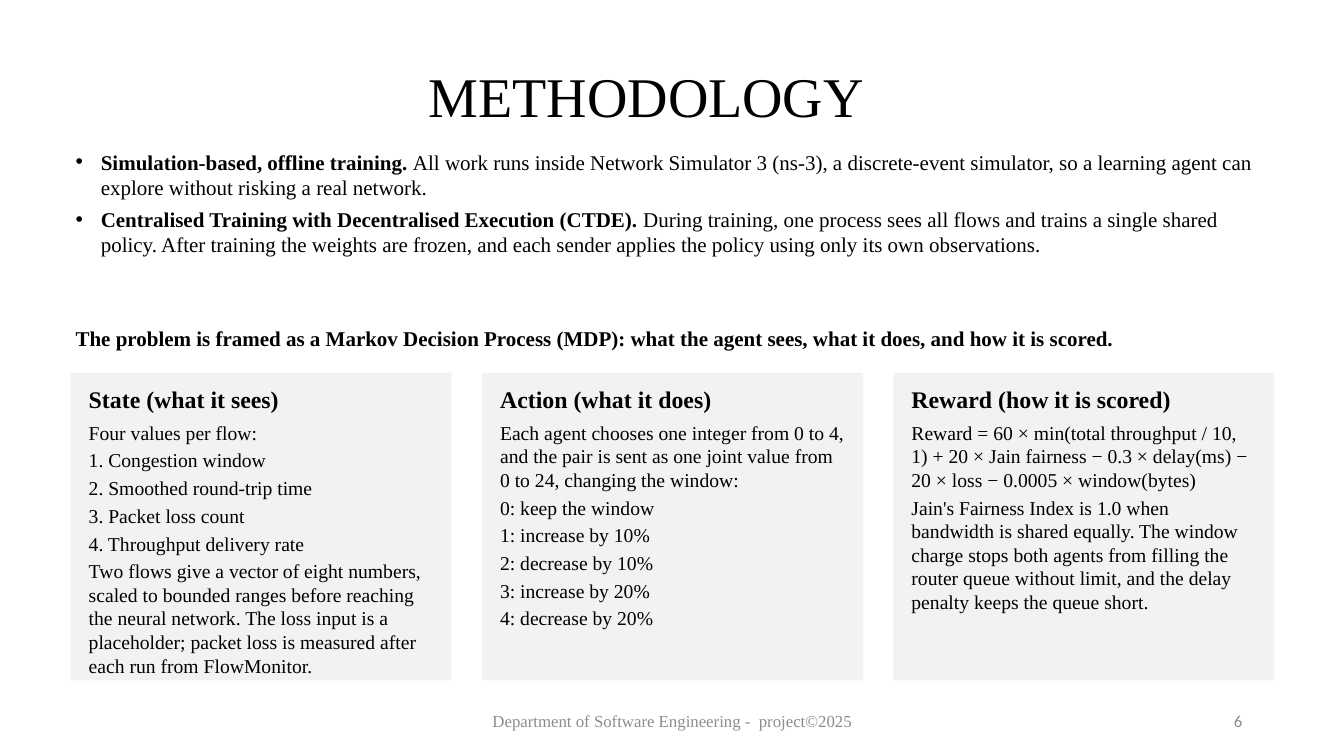
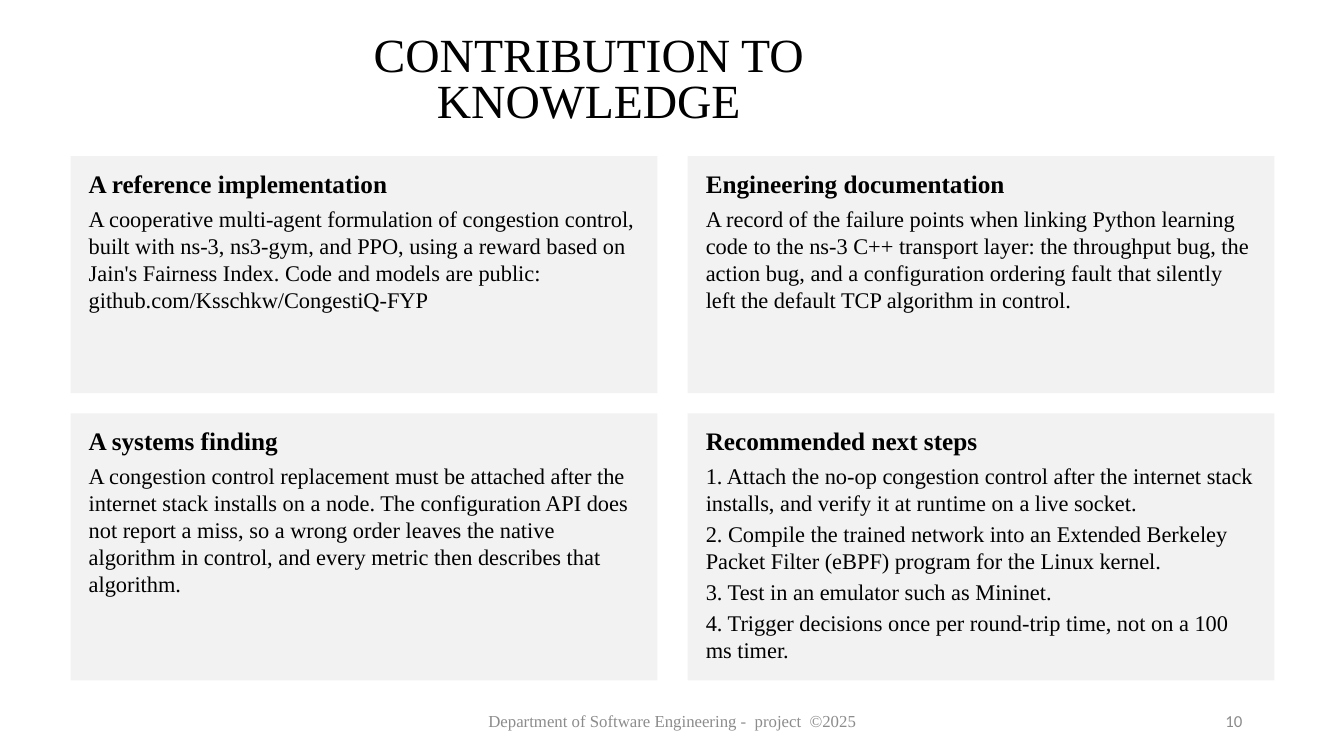
from lxml.etree import SubElement
from pptx import Presentation
from pptx.dml.color import RGBColor
from pptx.enum.shapes import MSO_SHAPE as Preset
from pptx.enum.text import MSO_ANCHOR as Anchor, PP_ALIGN as Align
from pptx.oxml.ns import qn
from pptx.util import Emu, Pt

PX = 9144  # 100 px to the inch
SLIDE_WIDTH, SLIDE_HEIGHT = 1333, 750
LEFT, CONTENT_WIDTH = 70, 1194
GAP = 30
SERIF, SANS = "Times New Roman", "Calibri"
COLORS = {"ink": "000000", "footer": "8C8C8C", "card": "F2F2F2"}

FRAME_INSETS = (10, 5, 10, 5)
BODY_INSETS = (5, 3, 5, 3)
CARD_INSETS = (18, 12, 18, 10)
FOOTER_BOX = (442, 695, 450, 40)
NUMBER_BOX = (942, 695, 300, 40)

METHOD_POINTS = [
    ("Simulation-based, offline training. ",
     "All work runs inside Network Simulator 3 (ns-3), a discrete-event simulator, "
     "so a learning agent can explore without risking a real network."),
    ("Centralised Training with Decentralised Execution (CTDE). ",
     "During training, one process sees all flows and trains a single shared policy. "
     "After training the weights are frozen, and each sender applies the policy using "
     "only its own observations."),
]
MDP_LEAD = ("The problem is framed as a Markov Decision Process (MDP): what the agent sees, "
            "what it does, and how it is scored.")
MDP_CARDS = [
    ("State (what it sees)", [
        "Four values per flow:",
        "1. Congestion window",
        "2. Smoothed round-trip time",
        "3. Packet loss count",
        "4. Throughput delivery rate",
        "Two flows give a vector of eight numbers, scaled to bounded ranges before reaching "
        "the neural network. The loss input is a placeholder; packet loss is measured after "
        "each run from FlowMonitor."]),
    ("Action (what it does)", [
        "Each agent chooses one integer from 0 to 4, and the pair is sent as one joint value "
        "from 0 to 24, changing the window:",
        "0: keep the window",
        "1: increase by 10%",
        "2: decrease by 10%",
        "3: increase by 20%",
        "4: decrease by 20%"]),
    ("Reward (how it is scored)", [
        "Reward = 60 × min(total throughput / 10, 1) + 20 × Jain fairness − 0.3 × delay(ms) "
        "− 20 × loss − 0.0005 × window(bytes)",
        "Jain's Fairness Index is 1.0 when bandwidth is shared equally. The window charge "
        "stops both agents from filling the router queue without limit, and the delay "
        "penalty keeps the queue short."]),
]
OUTCOME_CARDS = [
    ("A reference implementation", [
        "A cooperative multi-agent formulation of congestion control, built with ns-3, "
        "ns3-gym, and PPO, using a reward based on Jain's Fairness Index. Code and models "
        "are public: github.com/Ksschkw/CongestiQ-FYP"]),
    ("Engineering documentation", [
        "A record of the failure points when linking Python learning code to the ns-3 C++ "
        "transport layer: the throughput bug, the action bug, and a configuration ordering "
        "fault that silently left the default TCP algorithm in control."]),
]
FINDING_CARDS = [
    ("A systems finding", [
        "A congestion control replacement must be attached after the internet stack installs "
        "on a node. The configuration API does not report a miss, so a wrong order leaves "
        "the native algorithm in control, and every metric then describes that algorithm."]),
    ("Recommended next steps", [
        "1. Attach the no-op congestion control after the internet stack installs, and "
        "verify it at runtime on a live socket.",
        "2. Compile the trained network into an Extended Berkeley Packet Filter (eBPF) "
        "program for the Linux kernel.",
        "3. Test in an emulator such as Mininet.",
        "4. Trigger decisions once per round-trip time, not on a 100 ms timer."]),
]


def emu(box):
    return [Emu(length * PX) for length in box]


def assign(target, values):
    for name, value in values.items():
        setattr(target, name, value)


def set_frame(frame, insets, anchor=Anchor.TOP):
    sides = ("margin_left", "margin_top", "margin_right", "margin_bottom")
    assign(frame, {"word_wrap": True, "vertical_anchor": anchor,
                   **dict(zip(sides, emu(insets)))})


def add_frame(slide, box, insets=FRAME_INSETS, anchor=Anchor.TOP):
    frame = slide.shapes.add_textbox(*emu(box)).text_frame
    set_frame(frame, insets, anchor)
    return frame


def add_run(paragraph, text, size, bold=False, color="ink", font=SERIF):
    run = paragraph.add_run()
    run.text = text
    assign(run.font, {"name": font, "size": Pt(size), "bold": bold})
    run.font.color.rgb = RGBColor.from_string(COLORS[color])


def add_bullet(paragraph, indent):
    properties = paragraph._p.get_or_add_pPr()
    properties.set("marL", str(indent * PX))
    properties.set("indent", str(-indent * PX))
    SubElement(properties, qn("a:buFont"), typeface="Arial")
    SubElement(properties, qn("a:buChar"), char="•")


def add_line(slide, box, text, size, align, line_spacing=None, anchor=Anchor.TOP, **look):
    """Place one paragraph of text in its own box."""
    paragraph = add_frame(slide, box, anchor=anchor).paragraphs[0]
    assign(paragraph, {"alignment": align, "line_spacing": line_spacing})
    add_run(paragraph, text, size, **look)


def add_footer(slide, credit, number):
    for box, text, align, font in ((FOOTER_BOX, credit, Align.CENTER, SERIF),
                                   (NUMBER_BOX, number, Align.RIGHT, SANS)):
        add_line(slide, box, text, 12, align, anchor=Anchor.MIDDLE,
                 color="footer", font=font)


def add_points(slide, box, points):
    frame = add_frame(slide, box, BODY_INSETS)
    for index, (lead, detail) in enumerate(points):
        paragraph = frame.add_paragraph() if index else frame.paragraphs[0]
        add_bullet(paragraph, 25)
        paragraph.space_after = Pt(5)
        add_run(paragraph, lead, 15, bold=True)
        add_run(paragraph, detail, 15)


def add_card(slide, box, heading, lines, heading_size, body_size):
    card = slide.shapes.add_shape(Preset.RECTANGLE, *emu(box))
    card.shadow.inherit = False
    card.fill.solid()
    card.fill.fore_color.rgb = RGBColor.from_string(COLORS["card"])
    card.line.fill.background()
    frame = card.text_frame
    set_frame(frame, CARD_INSETS)
    title = frame.paragraphs[0]
    assign(title, {"alignment": Align.LEFT, "space_after": Pt(5)})
    add_run(title, heading, heading_size, bold=True)
    for line in lines:
        paragraph = frame.add_paragraph()
        assign(paragraph, {"alignment": Align.LEFT, "space_after": Pt(3)})
        add_run(paragraph, line, body_size)


def add_card_row(slide, box, cards, heading_size, body_size):
    """Share the box's width equally among the cards."""
    left, top, width, height = box
    card_width = (width - GAP * (len(cards) - 1)) // len(cards)
    for column, (heading, lines) in enumerate(cards):
        card_box = (left + column * (card_width + GAP), top, card_width, height)
        add_card(slide, card_box, heading, lines, heading_size, body_size)


def build_methodology(slide):
    add_line(slide, (72, 64, 1150, 78), "METHODOLOGY ", 40, Align.CENTER, 0.9)
    add_footer(slide, "Department of Software Engineering -  project©2025", "6")
    add_points(slide, (LEFT, 145, CONTENT_WIDTH, 170), METHOD_POINTS)
    lead = add_frame(slide, (LEFT, 320, CONTENT_WIDTH, 40), BODY_INSETS)
    add_run(lead.paragraphs[0], MDP_LEAD, 15, bold=True)
    add_card_row(slide, (LEFT, 370, CONTENT_WIDTH, 305), MDP_CARDS, 17, 14)


def build_contribution(slide):
    add_line(slide, (227, 31, 714, 66), "CONTRIBUTION TO KNOWLEDGE", 34, Align.CENTER, 0.8)
    add_footer(slide, "Department of Software Engineering -  project  ©2025", "10")
    for top, height, cards in ((155, 235, OUTCOME_CARDS), (410, 265, FINDING_CARDS)):
        add_card_row(slide, (LEFT, top, CONTENT_WIDTH, height), cards, 18, 16)


def main():
    deck = Presentation()
    deck.slide_width, deck.slide_height = emu((SLIDE_WIDTH, SLIDE_HEIGHT))
    blank = deck.slide_layouts[6]
    for build in (build_methodology, build_contribution):
        build(deck.slides.add_slide(blank))
    deck.save("out.pptx")


if __name__ == "__main__":
    main()
